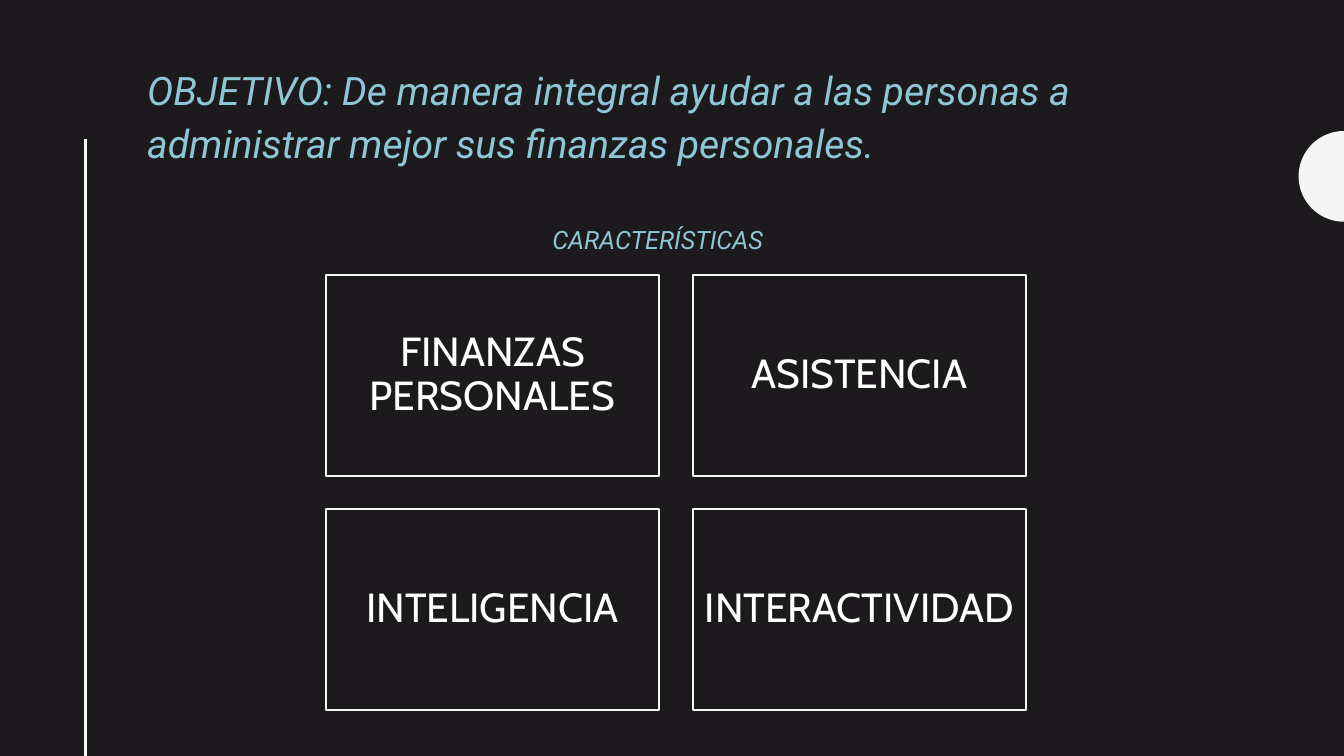
from math import cos, pi, sin

from lxml.etree import SubElement
from pptx import Presentation
from pptx.dml.color import RGBColor
from pptx.enum.shapes import MSO_CONNECTOR, MSO_SHAPE
from pptx.enum.text import MSO_ANCHOR, MSO_AUTO_SIZE, PP_ALIGN
from pptx.oxml.ns import qn
from pptx.util import Inches, Pt

OBJECTIVE = ("OBJETIVO: De manera integral ayudar a las personas a "
             "administrar mejor sus finanzas personales.")
HEADING = "CARACTERÍSTICAS"
FEATURES = ["FINANZAS PERSONALES", "ASISTENCIA", "INTELIGENCIA", "INTERACTIVIDAD"]

DARK = RGBColor(0x1D, 0x1A, 0x1D)
LIGHT = RGBColor(0xF5, 0xF5, 0xF5)
WHITE = RGBColor(0xFF, 0xFF, 0xFF)
BLUE = RGBColor(0x8D, 0xC6, 0xD5)

SLIDE_WIDTH, SLIDE_HEIGHT = 13.33, 7.5
COLUMNS = 2
GRID_LEFT, GRID_TOP = 3.23, 2.73
CARD_WIDTH, CARD_HEIGHT, CARD_GAP = 3.31, 1.99, 0.33
CARD_SIDE_MARGIN, CARD_END_MARGIN = 0.05, 0.12
CIRCLE_MIDDLE, CIRCLE_RADIUS, CIRCLE_STEPS = 1.75, 0.45, 48


def write(frame, text, font, size, color, italic=False,
          align=PP_ALIGN.LEFT, anchor=MSO_ANCHOR.TOP, spacing=1.0):
    """Put one formatted run in a text frame."""
    frame.word_wrap = True
    frame.auto_size = MSO_AUTO_SIZE.NONE
    frame.vertical_anchor = anchor
    para = frame.paragraphs[0]
    para.alignment = align
    para.line_spacing = spacing
    span = para.add_run()
    span.text = text
    span.font.name = font
    span.font.size = Pt(size)
    span.font.color.rgb = color
    span.font.italic = italic


def add_half_circle(page):
    """Draw the half circle that touches the right edge."""
    angles = [pi / 2 + pi * step / CIRCLE_STEPS for step in range(CIRCLE_STEPS + 1)]
    points = [(Inches(SLIDE_WIDTH + CIRCLE_RADIUS * cos(angle)),
               Inches(CIRCLE_MIDDLE + CIRCLE_RADIUS * sin(angle))) for angle in angles]
    builder = page.shapes.build_freeform(*points[0])
    builder.add_line_segments(points[1:], close=True)
    half_circle = builder.convert_to_shape()
    half_circle.shadow.inherit = False
    half_circle.fill.solid()
    half_circle.fill.fore_color.rgb = LIGHT
    half_circle.line.fill.background()


def add_side_line(page):
    """Draw the vertical line on the left."""
    side_line = page.shapes.add_connector(
        MSO_CONNECTOR.STRAIGHT, Inches(0.85), Inches(1.38),
        Inches(0.85), Inches(SLIDE_HEIGHT))
    side_line.line.color.rgb = LIGHT
    side_line.line.width = Pt(2)
    SubElement(side_line._element.spPr, qn("a:effectLst"))


def add_card(page, index, feature):
    """Add one outlined feature card at its place in the grid."""
    row, column = divmod(index, COLUMNS)
    card = page.shapes.add_shape(
        MSO_SHAPE.RECTANGLE,
        Inches(GRID_LEFT + column * (CARD_WIDTH + CARD_GAP)),
        Inches(GRID_TOP + row * (CARD_HEIGHT + CARD_GAP)),
        Inches(CARD_WIDTH), Inches(CARD_HEIGHT))
    card.shadow.inherit = False
    card.fill.solid()
    card.fill.fore_color.rgb = DARK
    card.line.color.rgb = LIGHT
    card.line.width = Pt(1.5)
    frame = card.text_frame
    frame.margin_left = frame.margin_right = Inches(CARD_SIDE_MARGIN)
    frame.margin_top = frame.margin_bottom = Inches(CARD_END_MARGIN)
    write(frame, feature, "Cabin", 29, WHITE, align=PP_ALIGN.CENTER,
          anchor=MSO_ANCHOR.MIDDLE, spacing=0.9)


deck = Presentation()
deck.slide_width = Inches(SLIDE_WIDTH)
deck.slide_height = Inches(SLIDE_HEIGHT)
page = deck.slides.add_slide(deck.slide_layouts.get_by_name("Title Only"))
page.background.fill.solid()
page.background.fill.fore_color.rgb = DARK

add_half_circle(page)
add_side_line(page)

title = page.shapes.title
title.left, title.top = Inches(1.36), Inches(0.54)
title.width, title.height = Inches(10.84), Inches(0.77)
write(title.text_frame, OBJECTIVE, "Roboto", 28, BLUE, italic=True, spacing=1.14)

for index, feature in enumerate(FEATURES):
    add_card(page, index, feature)

heading_box = page.shapes.add_textbox(Inches(5.38), Inches(2.18), Inches(2.62), Inches(0.4))
write(heading_box.text_frame, HEADING, "Roboto", 18, BLUE, italic=True)

deck.save("out.pptx")
